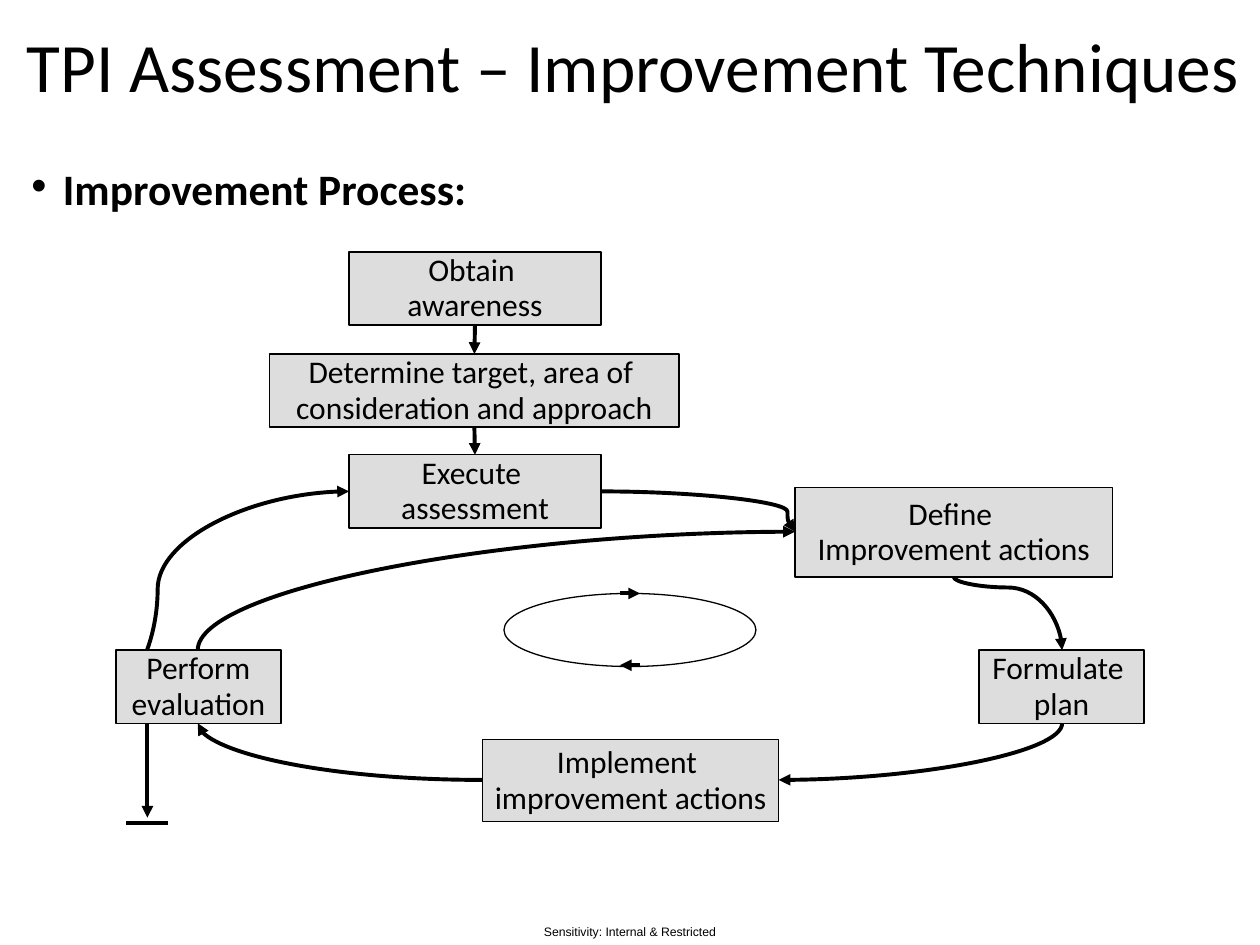
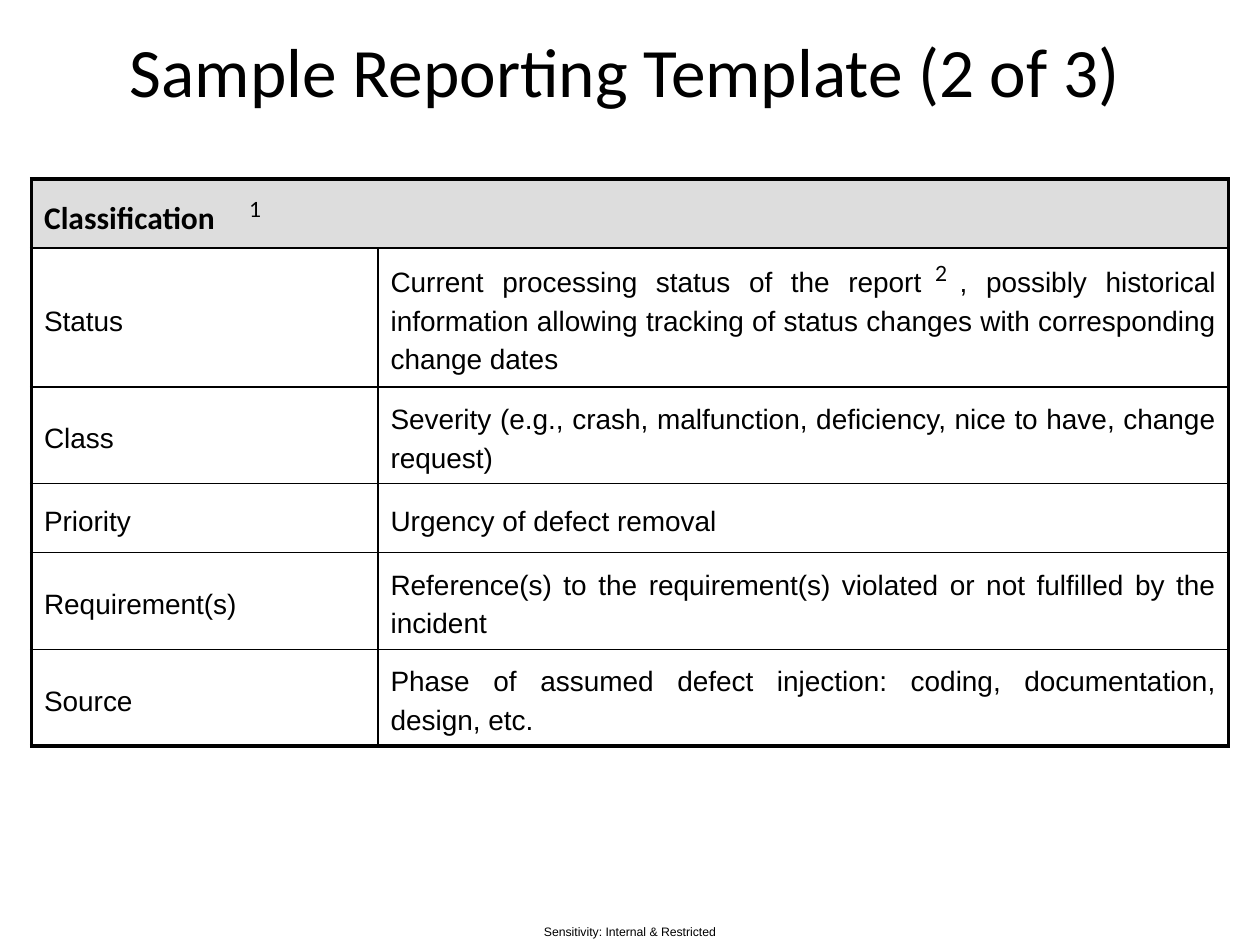
from dataclasses import dataclass
from lxml.etree import SubElement
from pptx import Presentation
from pptx.dml.color import RGBColor
from pptx.enum.shapes import MSO_CONNECTOR, MSO_SHAPE
from pptx.enum.text import MSO_ANCHOR, PP_ALIGN
from pptx.oxml.ns import qn
from pptx.util import Emu, Inches, Pt


@dataclass(frozen=True)
class Theme:
    ink: str = "000000"
    gray: str = "DDDDDD"
    main: str = "Calibri"
    plain: str = "Arial"
    note: str = "Lato"
    title: float = 39.6
    lead: float = 24.8
    box: float = 18
    cell: float = 16
    mark: float = 12
    foot: float = 7
    thin: float = 0.75
    rule: float = 1
    thick: float = 2.25


T = Theme()

# Content: first slide
FOOT = "Sensitivity: Internal & Restricted"
FLOW = ("TPI Assessment – Improvement Techniques", (0.17, 0.25, 9.71, 0.53))
LEAD = "Improvement Process:"
BOXES = {
    "obtain": ("Obtain \nawareness", (2.77, 2, 2, 0.58)),
    "target": ("Determine target, area of \nconsideration and approach", (2.14, 2.81, 3.25, 0.58)),
    "assess": ("Execute \nassessment", (2.77, 3.61, 2, 0.58)),
    "define": ("Define \nImprovement actions", (6.31, 3.87, 2.52, 0.71)),
    "plan": ("Formulate \nplan", (7.77, 5.16, 1.31, 0.58)),
    "act": ("Implement \nimprovement actions", (3.83, 5.87, 2.35, 0.65)),
    "check": ("Perform\nevaluation", (0.92, 5.16, 1.31, 0.58)),
}
STEPS = [("obtain", "target"), ("target", "assess")]
# Curves: start, end, arrow end, number of bends, bend place, starts downward
BACK = ((0.92, 5.45), (2.77, 3.9), "tail", 3, 0.179, False)
CURVES = [
    ((3.83, 6.19), (1.57, 5.74), "tail", 2, None, False),
    ((6.18, 6.19), (8.43, 5.74), "head", 2, None, False),
    ((7.57, 4.58), (8.43, 5.16), "tail", 3, 0.143, True),
    ((4.77, 3.9), (6.31, 4.22), "tail", 3, 0.961, False),
    ((6.31, 4.22), (1.57, 5.16), "head", 2, None, False),
]
CYCLE = (4, 4.71, 2, 0.58)
LINES = [
    ((4.92, 5.28), (5.08, 5.28), "head"),
    ((4.92, 4.71), (5.08, 4.71), "tail"),
    ((1, 6.53), (1.33, 6.53), None),
    ((1.17, 5.74), (1.17, 6.49), "tail"),
]

# Content: second slide
REPORT = ("Sample Reporting Template (2 of 3)", (0.17, 0.22, 9.58, 0.67))
ROWS = [
    ("Classification", ""),
    ("Status", "Current processing status of the report , possibly historical information "
               "allowing tracking of status changes with corresponding change dates"),
    ("Class", "Severity (e.g., crash, malfunction, deficiency, nice to have, change request)"),
    ("Priority", "Urgency of defect removal"),
    ("Requirement(s)", "Reference(s) to the requirement(s) violated or not fulfilled by the incident"),
    ("Source", "Phase of assumed defect injection: coding, documentation, design, etc."),
]
WIDTHS = (2.75, 6.75)
HEIGHT = 0.55
NOTES = [("1", (1.88, 1.56, 0.25, 0.25)), ("2", (7.31, 2.07, 0.32, 0.25))]


def color(code):
    return RGBColor.from_string(code)


def inch(*nums):
    return [Inches(n) for n in nums]


def style(frame, size, face, align=PP_ALIGN.CENTER, bold=False, space=None):
    for para in frame.paragraphs:
        para.alignment = align
        para.line_spacing = space
        for run in para.runs:
            font = run.font
            font.size, font.name, font.bold = Pt(size), face, bold
            font.color.rgb = color(T.ink)


def label(slide, text, place, size, face, tight=True, anchor=MSO_ANCHOR.MIDDLE, **look):
    frame = slide.shapes.add_textbox(*inch(*place)).text_frame
    frame.word_wrap = True
    frame.vertical_anchor = anchor
    if tight:
        frame.margin_left = frame.margin_right = frame.margin_top = frame.margin_bottom = 0
    frame.text = text
    style(frame, size, face, **look)
    return frame


def start(deck, title):
    slide = deck.slides.add_slide(deck.slide_layouts[6])
    label(slide, FOOT, (4.18, 7.28, 1.64, 0.22), T.foot, T.plain)
    label(slide, *title, T.title, T.main)
    return slide


def shape(slide, kind, place, fill=None):
    item = slide.shapes.add_shape(kind, *inch(*place))
    item.shadow.inherit = False
    if fill:
        item.fill.solid()
        item.fill.fore_color.rgb = color(fill)
    else:
        item.fill.background()
    item.line.color.rgb = color(T.ink)
    item.line.width = Pt(T.thin)
    return item


def link(slide, begin, end, arrow, kind=MSO_CONNECTOR.STRAIGHT):
    item = slide.shapes.add_connector(kind, *inch(*begin, *end))
    item.line.color.rgb = color(T.ink)
    item.line.width = Pt(T.thick)
    if arrow:
        SubElement(item.line._get_or_add_ln(), qn(f"a:{arrow}End"), type="triangle")
    SubElement(item._element.spPr, qn("a:effectLst"))
    return item


def curve(slide, begin, end, arrow, bends, bend, down):
    item = link(slide, begin, end, arrow, MSO_CONNECTOR.CURVE)
    props = item._element.spPr
    geom = props.find(qn("a:prstGeom"))
    geom.set("prst", f"curvedConnector{bends}")
    if bend:
        SubElement(geom.find(qn("a:avLst")), qn("a:gd"), name="adj1", fmla=f"val {round(bend * 100000)}")
    if down:  # swap the sides about the centre, then turn
        wide, high = item.width, item.height
        item.left = Emu(item.left + (wide - high) // 2)
        item.top = Emu(item.top + (high - wide) // 2)
        item.width, item.height = high, wide
        frame = props.find(qn("a:xfrm"))
        frame.set("rot", "16200000")
        frame.set("flipH", "1")


def border(cell, widths):
    props = cell._tc.get_or_add_tcPr()
    for side, width in zip("LRTB", widths):
        line = SubElement(props, qn(f"a:ln{side}"), w=str(Pt(width)))
        fill = SubElement(line, qn("a:solidFill"))
        SubElement(fill, qn("a:srgbClr"), val=T.ink)


def flow(deck):
    slide = start(deck, FLOW)

    # Bulleted lead
    frame = label(slide, LEAD, (0.25, 1.41, 3.57, 0.33), T.lead, T.main, anchor=MSO_ANCHOR.TOP,
                  align=PP_ALIGN.JUSTIFY, bold=True, space=0.66)
    props = frame.paragraphs[0]._p.get_or_add_pPr()
    props.set("marL", str(Inches(0.25)))
    props.set("indent", str(-Inches(0.25)))
    SubElement(props, qn("a:buFont"), typeface=T.plain)
    SubElement(props, qn("a:buChar"), char="•")

    # Boxes, over the curve that leads back to the assessment
    curve(slide, *BACK)
    made = {}
    for key, (text, place) in BOXES.items():
        made[key] = shape(slide, MSO_SHAPE.RECTANGLE, place, T.gray)
        frame = made[key].text_frame
        frame.text = text
        frame.word_wrap = False
        frame.vertical_anchor = MSO_ANCHOR.MIDDLE
        style(frame, T.box, T.main, space=0.94)

    # Arrows
    for first, then in STEPS:
        item = link(slide, (0, 0), (1, 1), "tail")
        item.begin_connect(made[first], 2)
        item.end_connect(made[then], 0)
    for bow in CURVES:
        curve(slide, *bow)
    shape(slide, MSO_SHAPE.OVAL, CYCLE)
    for line in LINES:
        link(slide, *line)


def report(deck):
    slide = start(deck, REPORT)

    # Table: rows grow with their text
    count = len(ROWS)
    table = slide.shapes.add_table(count, 2, *inch(0.25, 1.42, sum(WIDTHS), count * HEIGHT)).table
    for col, width in zip(table.columns, WIDTHS):
        col.width = Inches(width)
    table.cell(0, 0).merge(table.cell(0, 1))
    for r, texts in enumerate(ROWS):
        for c, text in enumerate(texts):
            cell = table.cell(r, c)
            edges = (c == 0, c == 1 or r == 0, r == 0, r == count - 1)
            border(cell, [T.thick if edge else T.rule for edge in edges])
            cell.vertical_anchor = MSO_ANCHOR.MIDDLE
            if r == 0:
                cell.fill.solid()
                cell.fill.fore_color.rgb = color(T.gray)
            else:
                cell.fill.background()
            if not text:
                continue
            # A widened space leaves room for the note mark
            left, gap, right = text.partition(" , ")
            para = cell.text_frame.paragraphs[0]
            para.text = left
            if gap:
                blank = para.add_run()
                blank.text = " "
                blank._r.get_or_add_rPr().set("spc", "1100")
                para.add_run().text = ", " + right
            style(cell.text_frame, T.cell if r else T.box, T.plain if r else T.main,
                  PP_ALIGN.JUSTIFY if c else PP_ALIGN.LEFT, r == 0, 1.25)

    # Note marks
    for text, place in NOTES:
        label(slide, text, place, T.mark, T.note, tight=False, anchor=MSO_ANCHOR.TOP, space=0.74)


def main():
    deck = Presentation()
    deck.slide_width, deck.slide_height = inch(10, 7.5)
    flow(deck)
    report(deck)
    deck.save("out.pptx")


if __name__ == "__main__":
    main()
